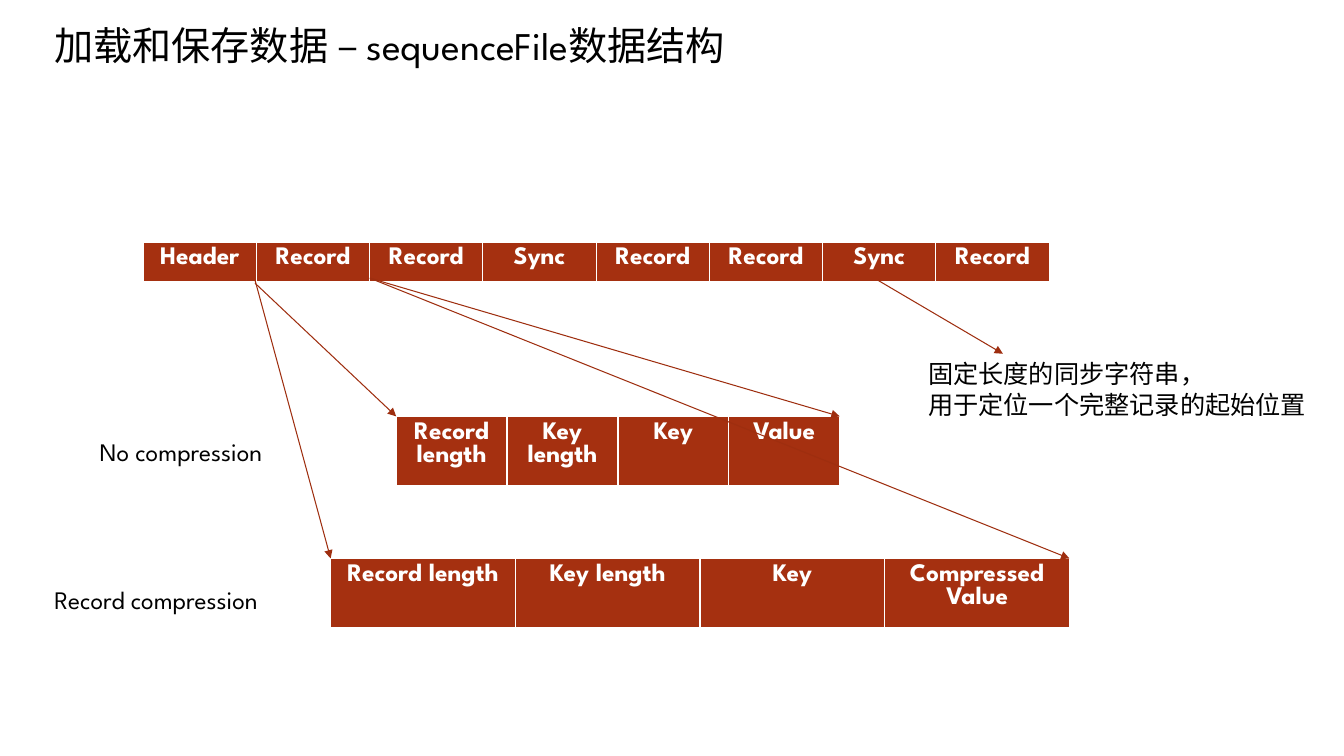
"""Build the slide on the data layout of a sequenceFile."""
from lxml.etree import SubElement
from pptx import Presentation
from pptx.dml.color import RGBColor
from pptx.enum.shapes import MSO_CONNECTOR
from pptx.enum.text import MSO_ANCHOR, MSO_AUTO_SIZE, PP_ALIGN
from pptx.oxml.ns import qn
from pptx.util import Pt

FONT = "League Spartan"
BLACK, WHITE, RUST, DARK_RUST = "000000", "FFFFFF", "A53010", "9E2E0F"
BORDERS = {"a:lnL": 1, "a:lnR": 1, "a:lnT": 1, "a:lnB": 3}

LABELS = [
    ("加载和保存数据 – sequenceFile数据结构", 28, (31.7, 11.5, 537.1, 41)),
    ("No compression", 18, (64.1, 308.2, 156.2, 28.8)),
    ("Record compression", 18, (31.7, 414, 195.1, 28.8)),
    ("固定长度的同步字符串，\n用于定位一个完整记录的起始位置", 18,
     (655.9, 252.7, 287.3, 51.1)),
]
TABLES = [
    (["Header", "Record", "Record", "Sync", "Record", "Record", "Sync", "Record"],
     (102.2, 172.8, 647.3, 29.5)),
    (["Record length", "Key length", "Key", "Value"],
     (283, 297.4, 316.8, 50.4)),
    (["Record length", "Key length", "Key", "Compressed\nValue"],
     (236.2, 398.9, 527.8, 50.4)),
]
ARROWS = [
    ((182.2, 202.3), (283, 297.4)),
    ((264.2, 198.7), (599.8, 297.4)),
    ((264.2, 198.7), (763.9, 398.9)),
    ((182.2, 200.2), (236.2, 398.9)),
    ((627.1, 200.2), (716.4, 252.7)),
]


def color(value):
    return RGBColor.from_string(value)


def points(*values):
    return [Pt(value) for value in values]


def write(frame, text, size, ink, bold=False, align=PP_ALIGN.LEFT):
    for index, line in enumerate(text.split("\n")):
        para = frame.add_paragraph() if index else frame.paragraphs[0]
        para.alignment = align
        span = para.add_run()
        span.text = line
        for name, value in {"name": FONT, "size": Pt(size), "bold": bold}.items():
            setattr(span.font, name, value)
        span.font.color.rgb = color(ink)


def add_label(page, text, size, area):
    frame = page.shapes.add_textbox(*points(*area)).text_frame
    frame.word_wrap = False
    frame.auto_size = MSO_AUTO_SIZE.SHAPE_TO_FIT_TEXT
    write(frame, text, size, BLACK)


def add_borders(cell):
    properties = cell._tc.get_or_add_tcPr()
    for index, (tag, width) in enumerate(BORDERS.items()):
        border = properties.makeelement(qn(tag), {"w": str(Pt(width))})
        fill = SubElement(border, qn("a:solidFill"))
        SubElement(fill, qn("a:srgbClr"), val=WHITE)
        properties.insert(index, border)


def add_fields(page, fields, area):
    table = page.shapes.add_table(1, len(fields), *points(*area)).table
    for column, text in enumerate(fields):
        table.columns[column].width = Pt(area[2] / len(fields))
        cell = table.cell(0, column)
        cell.vertical_anchor = MSO_ANCHOR.TOP
        cell.fill.solid()
        cell.fill.fore_color.rgb = color(RUST)
        add_borders(cell)
        write(cell.text_frame, text, 18, WHITE, True, PP_ALIGN.CENTER)


def add_arrow(page, start, end):
    arrow = page.shapes.add_connector(MSO_CONNECTOR.STRAIGHT, *points(*start, *end))
    arrow.line.width = Pt(0.75)
    arrow.line.color.rgb = color(DARK_RUST)
    SubElement(arrow.line._get_or_add_ln(), qn("a:tailEnd"), type="triangle")
    SubElement(arrow._element.spPr, qn("a:effectLst"))


def main():
    deck = Presentation()
    deck.slide_width, deck.slide_height = points(960, 540)
    page = deck.slides.add_slide(deck.slide_layouts[6])
    for fields, area in TABLES:
        add_fields(page, fields, area)
    for start, end in ARROWS:
        add_arrow(page, start, end)
    for text, size, area in LABELS:
        add_label(page, text, size, area)
    deck.save("out.pptx")


if __name__ == "__main__":
    main()
